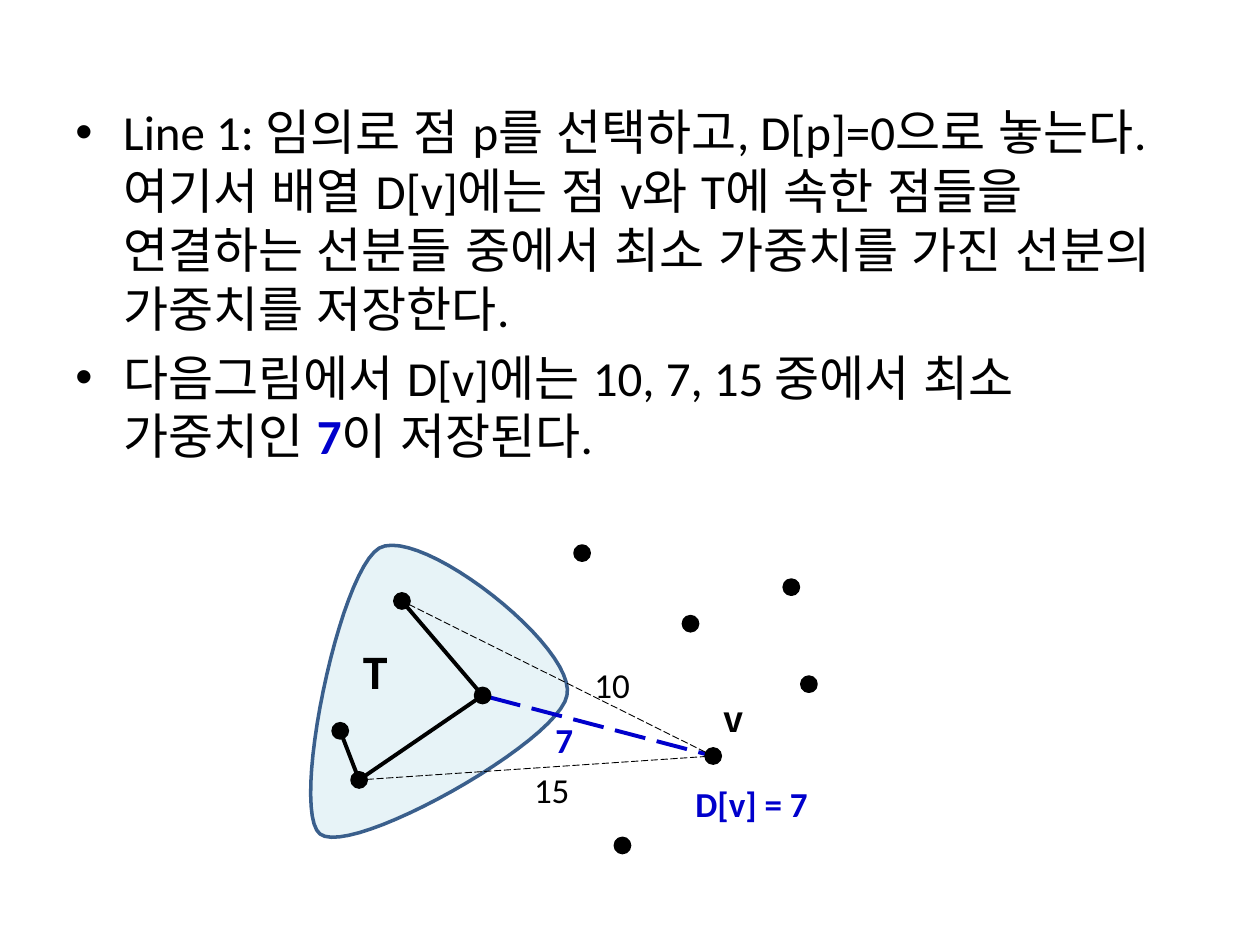
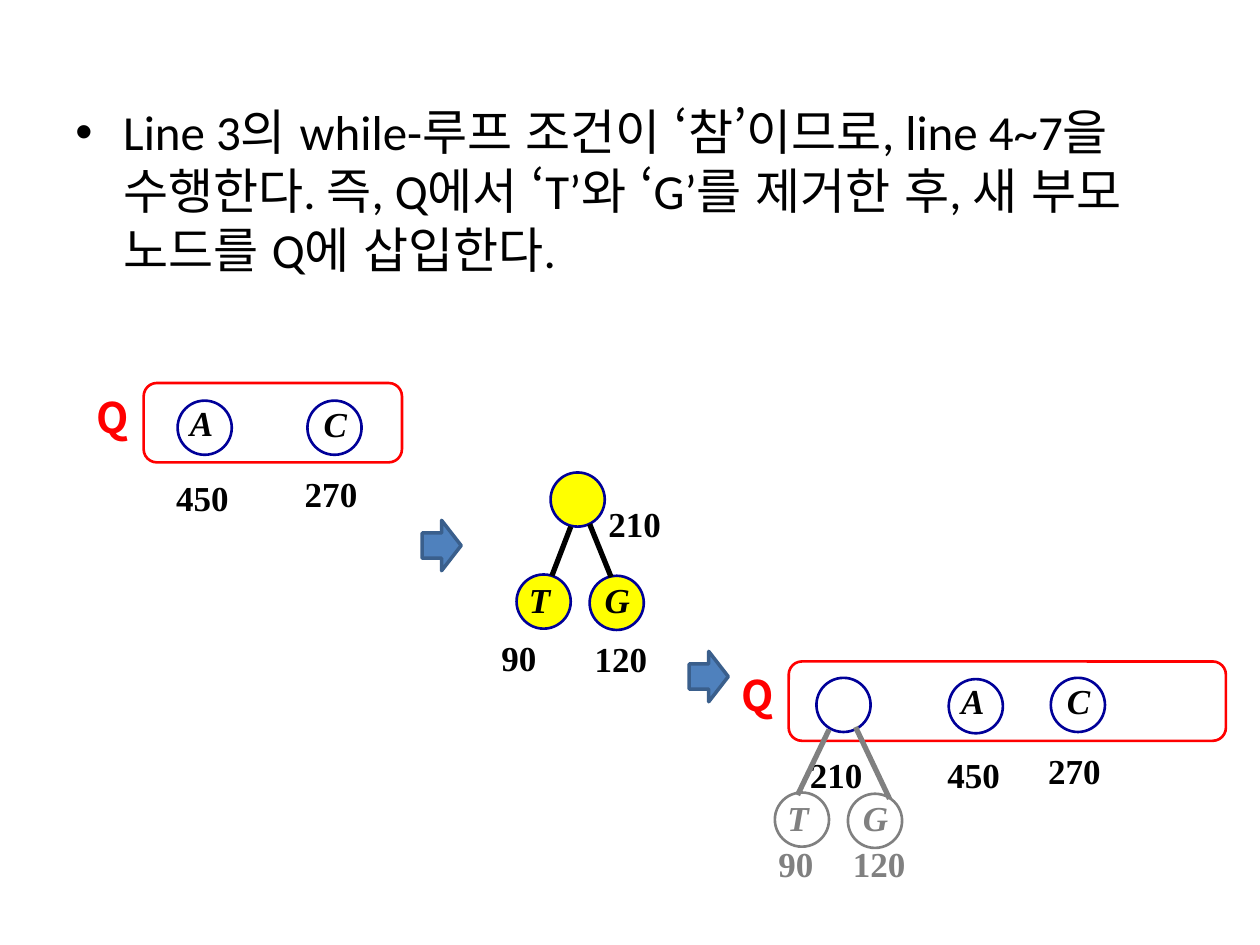
import math
from dataclasses import dataclass
from typing import Any, Optional

import pptx
import pptx.dml.color
import pptx.enum.dml
import pptx.enum.lang
import pptx.enum.shapes
import pptx.enum.text
import pptx.oxml
import pptx.oxml.ns
import pptx.util

Point = tuple[float, float]

COLORS = {
    "black": "000000",
    "blue": "0000CC",
    "navy": "000099",
    "red": "FF0000",
    "yellow": "FFFF00",
    "gray": "808080",
    "tree": "DBEEF4",
    "arrow": "4F81BD",
    "outline": "3A5F8C",
}
SANS, KOREAN, SERIF = "Calibri", "Noto Sans CJK KR", "Times New Roman"
COLUMNS, ROWS = 100, 75
CELL = pptx.util.Inches(10) // COLUMNS
DOT_SIZE, NODE_SIZE = 1.2, 4.3
LETTER_SHIFTS = {"A": (0, -0.45), "T": (0, -0.2), "C": (0.3, -0.35), "G": (0.2, -0.3)}
SHAPES = pptx.enum.shapes.MSO_SHAPE


@dataclass(frozen=True)
class Style:
    font: str = SANS
    size: float = 20
    color: str = "black"
    bold: bool = False
    italic: bool = False


@dataclass(frozen=True)
class Label:
    text: str
    left: float
    top: float
    width: float
    height: float = 4.4
    style: Style = Style()
    wrap: bool = True
    centered: bool = False


@dataclass(frozen=True)
class Edge:
    start: Point
    end: Point
    width: float = 2.25
    color: str = "black"
    dashed: bool = False


@dataclass(frozen=True)
class Node:
    """A circle, its letter and its weight, placed relative to the circle."""
    letter: str
    left: float
    top: float
    weight: str
    weight_shift: Point
    fill: Optional[str] = None
    line: str = "navy"
    text_color: str = "black"


@dataclass(frozen=True)
class Queue:
    left: float
    top: float
    width: float


BODY = Style(size=28)
RESULT = Style(color="blue", bold=True)
BODY_STEP = [
    [("Line 1: 임의로 점 p를 선택하고, D[p]=0으로 놓는다. 여기서 배열 D[v]에는 "
      "점 v와 T에 속한 점들을 연결하는 선분들 중에서 최소 가중치를 가진 "
      "선분의 가중치를 저장한다.", BODY)],
    [("다음그림에서 D[v]에는 10, 7, 15 중에서 최소 가중치인 ", BODY),
     ("7", Style(size=28, color="blue", bold=True)),
     ("이 저장된다.", BODY)],
]
BODY_LOOP = [
    [("Line 3의 while-루프 조건이 ‘참’이므로, line 4~7을 수행한다. 즉, Q에서 "
      "‘T’와 ‘G’를 제거한 후, 새 부모 노드를 Q에 삽입한다.", BODY)],
]

TREE_START = (25.4, 66.2)
TREE_CURVES = [
    ((23, 64.3), (26.9, 45.4), (30.1, 43.5)),
    ((33.4, 41.7), (45.8, 51.4), (45, 55.2)),
    ((44.3, 58.9), (27.9, 68.1), TREE_START),
]
TREE_TOP, TREE_RIGHT, TREE_BOTTOM = (31.9, 47.7), (38.3, 55.2), (28.5, 61.9)
TREE_LEFT, VERTEX = (27, 58), (56.6, 60)
OUTER_DOTS = [(46.2, 43.9), (54.8, 49.5), (62.8, 46.6), (64.2, 54.3), (49.4, 67.1)]
DOT_EDGES = [
    Edge(TREE_TOP, TREE_RIGHT),
    Edge(TREE_RIGHT, TREE_BOTTOM),
    Edge(TREE_LEFT, TREE_BOTTOM),
    Edge(TREE_RIGHT, VERTEX, color="blue", dashed=True),
    Edge(TREE_TOP, VERTEX, width=0.5, dashed=True),
    Edge(TREE_BOTTOM, VERTEX, width=0.5, dashed=True),
]
GRAPH_LABELS = [
    Label("T", 25.5, 50.9, 8.7, 5, Style(KOREAN, 24, bold=True), centered=True),
    Label("10", 46.2, 52.2, 6.3),
    Label("15", 41.4, 60.5, 6.3),
    Label("7", 43.1, 56.5, 6.3, style=RESULT),
    Label("D[v] = 7", 54.2, 61.6, 14.1, style=RESULT),
    Label("v", 56.4, 54.9, 3.5, style=Style(KOREAN, bold=True)),
]

QUEUES = [Queue(11.4, 30.4, 20.5), Queue(62.6, 52.5, 34.7)]
NODES = [
    Node("A", 14.1, 31.8, "450", (-1.1, 5.5)),
    Node("C", 24.4, 31.8, "270", (-1.2, 5.2)),
    Node("", 43.7, 37.5, "210", (3.6, 1.9), "yellow"),
    Node("T", 41, 45.6, "90", (-2.2, 4.4), "yellow"),
    Node("G", 46.8, 45.7, "120", (-0.6, 4.4), "yellow"),
    Node("", 64.8, 53.8, "210", (-1.5, 5.5)),
    Node("A", 75.3, 53.9, "450", (-1.1, 5.4)),
    Node("C", 83.4, 53.8, "270", (-1.2, 5.2)),
    Node("T", 61.5, 62.9, "90", (-0.7, 3.5), None, "gray", "gray"),
    Node("G", 67.3, 63, "120", (-0.6, 3.4), None, "gray", "gray"),
]
BRANCHES = [
    Edge((45.3, 41.8), (43.8, 45.7), 3),
    Edge((46.8, 41.6), (48.5, 45.8), 3),
    Edge((65.8, 57.9), (63.3, 63.1), 3, "gray"),
    Edge((67.9, 57.7), (70.6, 63.4), 3, "gray"),
]
STEP_ARROWS = [(33.5, 41.3), (54.7, 51.7)]


def cells(*counts: float) -> list[int]:
    return [round(count * CELL) for count in counts]


def rgb(color: str) -> pptx.dml.color.RGBColor:
    return pptx.dml.color.RGBColor.from_string(COLORS[color])


def paint(shape: Any, fill: Optional[str], line: str, width: float) -> None:
    shape.shadow.inherit = False
    if fill:
        shape.fill.solid()
        shape.fill.fore_color.rgb = rgb(fill)
    else:
        shape.fill.background()
    shape.line.color.rgb = rgb(line)
    shape.line.width = pptx.util.Pt(width)


def format_run(run: Any, style: Style) -> None:
    font = run.font
    font.name, font.size = style.font, pptx.util.Pt(style.size)
    font.bold, font.italic = style.bold, style.italic
    font.color.rgb = rgb(style.color)
    font.language_id = pptx.enum.lang.MSO_LANGUAGE_ID.KOREAN


def add_body(slide: Any, paragraphs: list[list[tuple[str, Style]]]) -> None:
    frame = slide.shapes.add_textbox(*cells(5, 7.6, 90, 59.4)).text_frame
    frame.word_wrap = True
    for index, parts in enumerate(paragraphs):
        paragraph = frame.add_paragraph() if index else frame.paragraphs[0]
        if index:
            paragraph.space_before = pptx.util.Pt(5.6)
        properties = paragraph._p.get_or_add_pPr()
        indent = pptx.util.Inches(0.38)
        properties.set("marL", str(indent))
        properties.set("indent", str(-indent))
        for bullet in ('buFont typeface="Arial"', 'buChar char="•"'):
            properties.append(pptx.oxml.parse_xml(
                f'<a:{bullet} {pptx.oxml.ns.nsdecls("a")}/>'))
        for text, style in parts:
            run = paragraph.add_run()
            run.text = text
            format_run(run, style)


def add_label(slide: Any, label: Label) -> None:
    box = slide.shapes.add_textbox(
        *cells(label.left, label.top, label.width, label.height))
    frame = box.text_frame
    frame.word_wrap = label.wrap
    frame.auto_size = pptx.enum.text.MSO_AUTO_SIZE.SHAPE_TO_FIT_TEXT
    frame.text = label.text
    paragraph = frame.paragraphs[0]
    if label.centered:
        paragraph.alignment = pptx.enum.text.PP_ALIGN.CENTER
    format_run(paragraph.runs[0], label.style)


def add_edge(slide: Any, edge: Edge, trim: float = 0) -> None:
    """Draw an edge, shortened by trim at both ends."""
    (x1, y1), (x2, y2) = edge.start, edge.end
    share = trim / math.dist(edge.start, edge.end)
    dx, dy = (x2 - x1) * share, (y2 - y1) * share
    connector = slide.shapes.add_connector(
        pptx.enum.shapes.MSO_CONNECTOR.STRAIGHT,
        *cells(x1 + dx, y1 + dy, x2 - dx, y2 - dy))
    connector.line.color.rgb = rgb(edge.color)
    connector.line.width = pptx.util.Pt(edge.width)
    if edge.dashed:
        connector.line.dash_style = pptx.enum.dml.MSO_LINE.LONG_DASH
    connector._element.spPr.append(
        pptx.oxml.parse_xml(f'<a:effectLst {pptx.oxml.ns.nsdecls("a")}/>'))


def add_dot(slide: Any, center: Point) -> None:
    left, top = (value - DOT_SIZE / 2 for value in center)
    dot = slide.shapes.add_shape(SHAPES.OVAL, *cells(left, top, DOT_SIZE, DOT_SIZE))
    paint(dot, "black", "black", 1.5)


def curve_points(start: Point, curves: list[tuple[Point, Point, Point]],
                 steps: int = 24) -> list[Point]:
    """Sample a chain of cubic Bézier curves."""
    points = []
    for first, second, end in curves:
        for step in range(1, steps + 1):
            t = step / steps
            u = 1 - t
            points.append(tuple(
                u**3 * a + 3 * u * u * t * b + 3 * u * t * t * c + t**3 * d
                for a, b, c, d in zip(start, first, second, end)))
        start = end
    return points


def add_tree_region(slide: Any) -> None:
    builder = slide.shapes.build_freeform(*cells(*TREE_START))
    points = curve_points(TREE_START, TREE_CURVES)
    builder.add_line_segments([tuple(cells(*point)) for point in points], close=True)
    region = builder.convert_to_shape()
    paint(region, "tree", "outline", 2)
    color = region._element.spPr.find(
        f'{pptx.oxml.ns.qn("a:solidFill")}/{pptx.oxml.ns.qn("a:srgbClr")}')
    color.append(pptx.oxml.parse_xml(
        f'<a:alpha {pptx.oxml.ns.nsdecls("a")} val="66000"/>'))


def add_node(slide: Any, node: Node) -> None:
    circle = slide.shapes.add_shape(
        SHAPES.OVAL, *cells(node.left, node.top, NODE_SIZE, NODE_SIZE))
    paint(circle, node.fill, node.line, 1.5)
    if node.letter:
        shift_x, shift_y = LETTER_SHIFTS[node.letter]
        add_label(slide, Label(
            node.letter, node.left + shift_x, node.top + shift_y, 3.6,
            style=Style(SERIF, color=node.text_color, bold=True, italic=True)))
    shift_x, shift_y = node.weight_shift
    add_label(slide, Label(
        node.weight, node.left + shift_x, node.top + shift_y,
        2 + 1.4 * len(node.weight),
        style=Style(SERIF, color=node.text_color, bold=True), wrap=False))


def add_queue(slide: Any, queue: Queue) -> None:
    frame = slide.shapes.add_shape(
        SHAPES.ROUNDED_RECTANGLE, *cells(queue.left, queue.top, queue.width, 6.3))
    paint(frame, None, "red", 1.5)
    add_label(slide, Label("Q", queue.left - 4.7, queue.top + 0.15, 3.2, 5,
                           Style(KOREAN, 24, "red", bold=True)))


def build_graph_slide(slide: Any) -> None:
    add_body(slide, BODY_STEP)
    add_tree_region(slide)
    for edge in DOT_EDGES:
        add_edge(slide, edge, DOT_SIZE / 2)
    for center in [TREE_TOP, TREE_RIGHT, TREE_BOTTOM, TREE_LEFT, VERTEX, *OUTER_DOTS]:
        add_dot(slide, center)
    for label in GRAPH_LABELS:
        add_label(slide, label)


def build_queue_slide(slide: Any) -> None:
    add_body(slide, BODY_LOOP)
    for node in NODES:
        add_node(slide, node)
    for queue in QUEUES:
        add_queue(slide, queue)
    for branch in BRANCHES:
        add_edge(slide, branch)
    for left, top in STEP_ARROWS:
        arrow = slide.shapes.add_shape(SHAPES.RIGHT_ARROW, *cells(left, top, 3.1, 4))
        paint(arrow, "arrow", "outline", 2)


def main() -> None:
    presentation = pptx.Presentation()
    presentation.slide_width, presentation.slide_height = cells(COLUMNS, ROWS)
    for build in (build_graph_slide, build_queue_slide):
        build(presentation.slides.add_slide(presentation.slide_layouts[6]))
    presentation.save("out.pptx")


if __name__ == "__main__":
    main()
